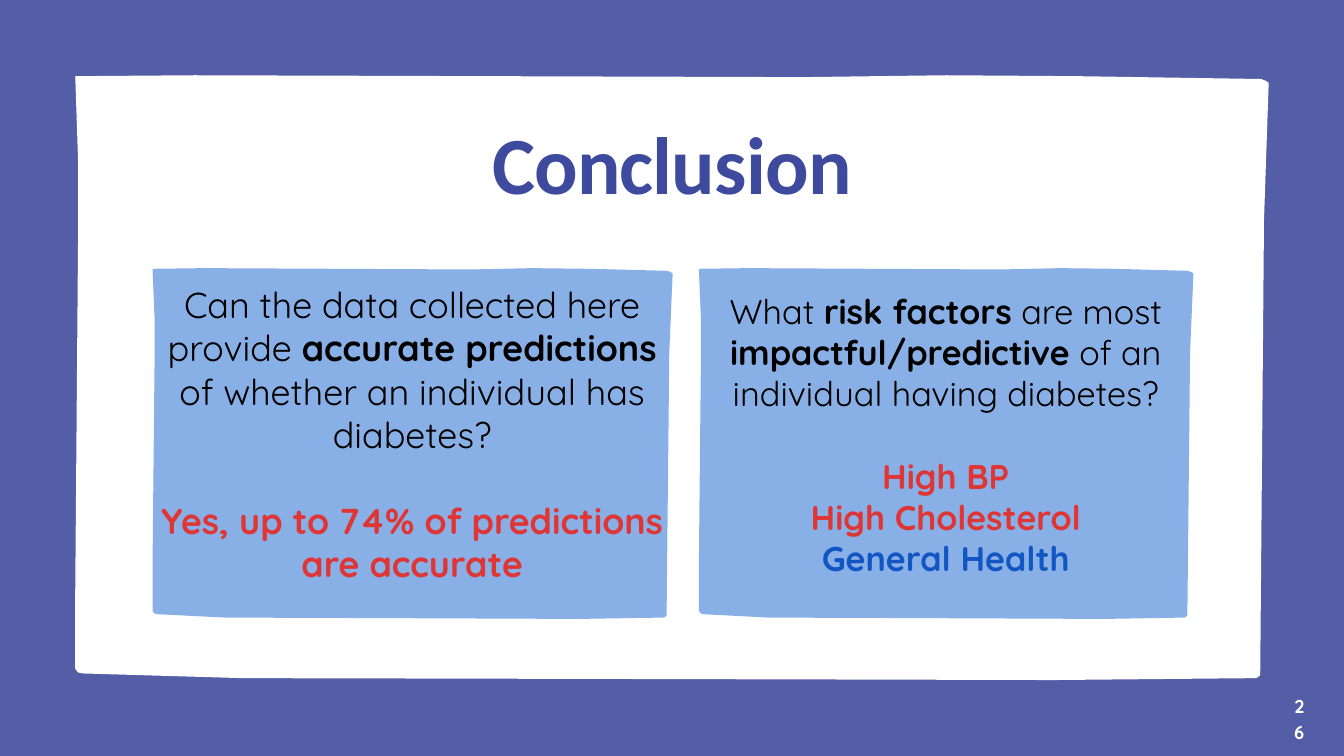
from pptx import Presentation
from pptx.dml.color import RGBColor
from pptx.enum.text import MSO_ANCHOR as Anchor, MSO_AUTO_SIZE as Fit, PP_ALIGN as Align
from pptx.oxml.ns import qn
from pptx.util import Inches, Pt
from lxml.etree import SubElement

BLUE, RED, LINK, BLACK, WHITE = "88B0E6", "DF3635", "1256C4", "000000", "FFFFFF"

EDGE = [
    (1, -.03, 0, .06), (1, -.08, 0, .04), (.84, 0, 0, .01), (.73, 0, 0, 0),
    (.61, 0, 0, .02), (.1, 0, 0, 0), (0, 0, 0, .01), (0, .03, .14, 0),
    (0, .03, .27, 0), (0, 0, .85, 0), (0, 0, 1, -.12), (0, .03, 1, -.08),
    (0, .08, 1, -.07), (.14, 0, 1, -.02), (.5, 0, 1, -.01), (.82, 0, 1, 0),
    (1, -.13, 1, -.02), (1, -.09, 1, -.05), (1, -.05, .24, 0), (1, 0, 0, .08),
]


def tint(code):
    return RGBColor.from_string(code)


class Deck:
    font = "Quicksand"

    def __init__(self, wide, high):
        self.prs = Presentation()
        self.prs.slide_width, self.prs.slide_height = Inches(wide), Inches(high)
        self.slide = self.prs.slides.add_slide(self.prs.slide_layouts[3])
        self.shapes = self.slide.shapes

    def back(self, code):
        fill = self.slide.background.fill
        fill.solid()
        fill.fore_color.rgb = tint(code)

    def panel(self, box, code, rough=1):
        left, top, wide, high = box
        dots = [(Inches(left + u * wide + dx * rough), Inches(top + v * high + dy * rough))
                for u, dx, v, dy in EDGE]
        pen = self.shapes.build_freeform(*dots[0])
        pen.add_line_segments(dots[1:], close=True)
        shape = pen.convert_to_shape()
        shape.shadow.inherit = False
        shape.fill.solid()
        shape.fill.fore_color.rgb = tint(code)
        shape.line.fill.background()
        return shape

    def send_back(self, items):
        tree = self.shapes.element
        for place, item in enumerate(items, 2):
            tree.insert(place, item.element)

    def holder(self, index, box, *rest, **style):
        shape = self.shapes.placeholders[index]
        shape.left, shape.top, shape.width, shape.height = map(Inches, box)
        self.set_text(shape, *rest, **style)

    def label(self, box, *rest, **style):
        self.set_text(self.shapes.add_textbox(*map(Inches, box)), *rest, **style)

    def set_text(self, shape, lines, size, pitch, font=None, track=0):
        frame = shape.text_frame
        form = dict(margin_left=0, margin_top=0, margin_right=0, margin_bottom=0,
                    word_wrap=True, auto_size=Fit.NONE, vertical_anchor=Anchor.TOP)
        for key, value in form.items():
            setattr(frame, key, value)
        for count, (gap, runs) in enumerate(lines):
            para = frame.add_paragraph() if count else frame.paragraphs[0]
            props = para._p.get_or_add_pPr()
            props.set("marL", "0")
            props.set("indent", "0")
            SubElement(props, qn("a:buNone"))
            form = dict(alignment=Align.CENTER, line_spacing=Pt(pitch),
                        space_before=Pt(gap), space_after=Pt(0))
            for key, value in form.items():
                setattr(para, key, value)
            for text, code, bold in runs:
                run = para.add_run()
                run.text = text
                form = dict(name=font or self.font, size=Pt(size), bold=bold)
                for key, value in form.items():
                    setattr(run.font, key, value)
                run.font.color.rgb = tint(code)
                if track:
                    run._r.get_or_add_rPr().set("spc", str(track))


def main():
    deck = Deck(20, 11.25)
    deck.back("535EA6")
    deck.send_back([
        deck.panel((1.12, 1.12, 17.76, 9), WHITE, 1.4),
        deck.panel((10.4, 3.99, 7.36, 5.22), BLUE),
        deck.panel((2.27, 3.99, 7.74, 5.22), BLUE),
    ])
    deck.holder(0, (3.91, 1.93, 12.18, 1.26), [(0, [("Conclusion", "3E4A9D", True)])],
                87, 87, font="Calibri", track=-90)
    deck.holder(1, (2.27, 4.21, 7.73, 4.45), [
        (0, [("Can the data collected here provide ", BLACK, False),
             ("accurate predictions", BLACK, True),
             (" of whether an individual has diabetes?", BLACK, False)]),
        (46.2, [("Yes, up to 74% of predictions are accurate", RED, True)]),
    ], 38.5, 46.2)
    deck.holder(2, (10.4, 4.32, 7.35, 4.23), [
        (0, [("What ", BLACK, False), ("risk factors", BLACK, True),
             (" are most ", BLACK, False), ("impactful/predictive", BLACK, True),
             (" of an individual having diabetes?", BLACK, False)]),
        (44.1, [("High BP", RED, True)]),
        (0, [("High Cholesterol", RED, True)]),
        (0, [("General Health", LINK, True)]),
    ], 36.7, 44.1)
    deck.label((19.25, 10.28, .17, .22), [(0, [("26", WHITE, True)])], 20, 28)
    deck.prs.save("out.pptx")


if __name__ == "__main__":
    main()
